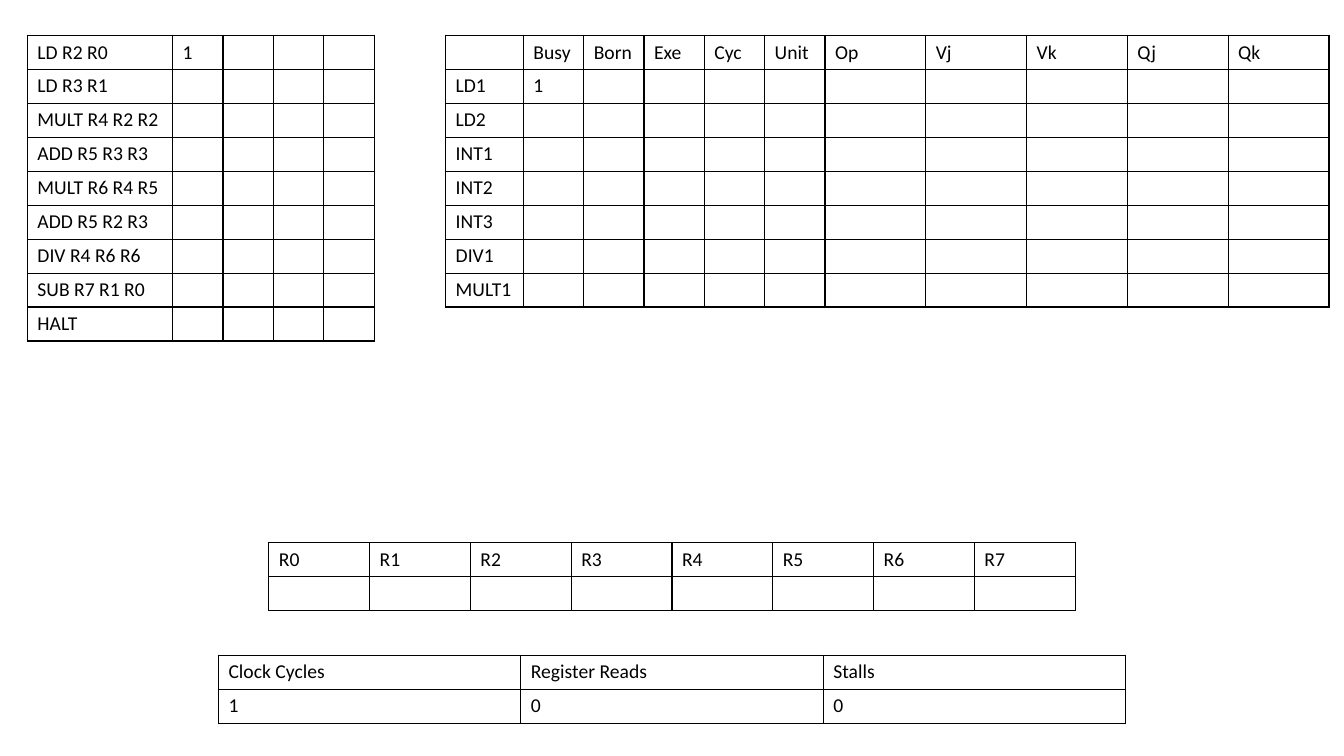
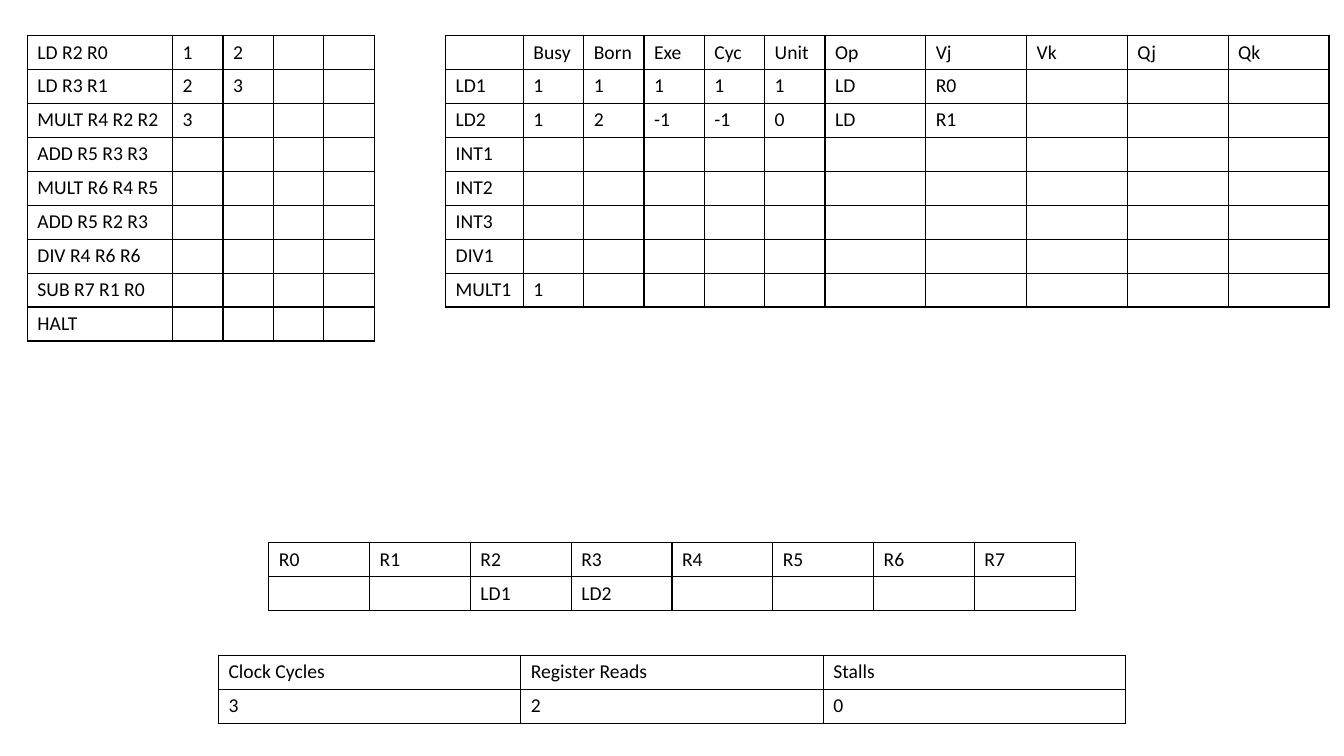
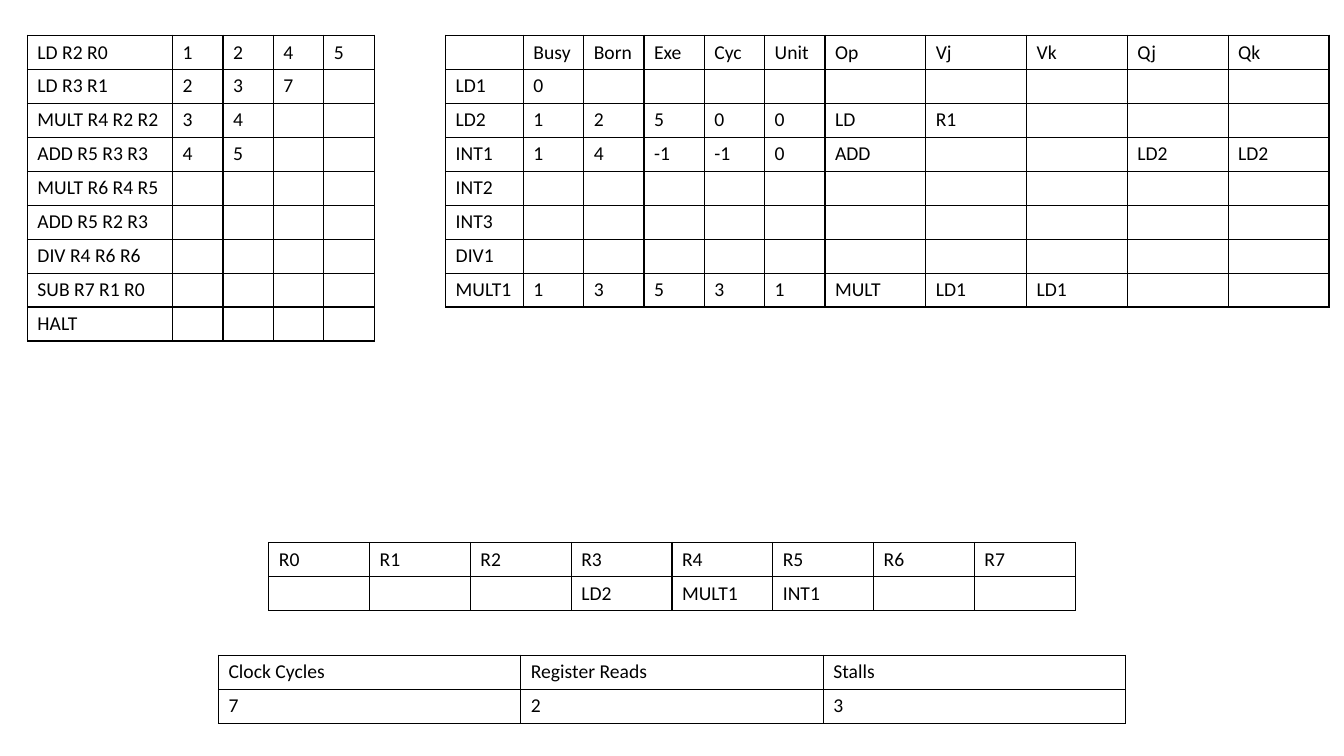
from lxml import etree
from pptx import Presentation
from pptx.dml.color import RGBColor
from pptx.oxml.ns import qn
from pptx.util import Cm, Pt

COLORS = {"ink": "000000"}
FONT = "Calibri"
TEXT_SIZE = Pt(14)
BORDER = Pt(1)
SLIDE_WIDTH, SLIDE_HEIGHT = 33.87, 19.05
ROW_HEIGHT, ROW_SPACE = 0.76, 0.85
TOP_ROW, REGISTERS_TOP, COUNTERS_TOP = 0.89, 13.67, 16.51

PROGRAM = ["LD R2 R0", "LD R3 R1", "MULT R4 R2 R2", "ADD R5 R3 R3", "MULT R6 R4 R5",
           "ADD R5 R2 R3", "DIV R4 R6 R6", "SUB R7 R1 R0", "HALT"]
STATION_FIELDS = ["Busy", "Born", "Exe", "Cyc", "Unit", "Op", "Vj", "Vk", "Qj", "Qk"]
STATIONS = ["LD1", "LD2", "INT1", "INT2", "INT3", "DIV1", "MULT1"]
REGISTERS = [f"R{number}" for number in range(8)]
COUNTERS = ["Clock Cycles", "Register Reads", "Stalls"]

PROGRAM_WIDTHS = [3.66] + [1.27] * 4
STATION_WIDTHS = [1.96] + [1.52] * 5 + [2.54] * 5
REGISTER_WIDTHS = [2.54] * len(REGISTERS)
COUNTER_WIDTHS = [7.62] * len(COUNTERS)

SNAPSHOTS = [
    {
        "stages": {"LD R2 R0": ["1"]},
        "stations": {"LD1": ["1"]},
        "registers": {},
        "counters": ["1", "0", "0"],
    },
    {
        "stages": {"LD R2 R0": ["1", "2"], "LD R3 R1": ["2", "3"], "MULT R4 R2 R2": ["3"]},
        "stations": {
            "LD1": ["1", "1", "1", "1", "1", "LD", "R0"],
            "LD2": ["1", "2", "-1", "-1", "0", "LD", "R1"],
            "MULT1": ["1"],
        },
        "registers": {"R2": "LD1", "R3": "LD2"},
        "counters": ["3", "2", "0"],
    },
    {
        "stages": {
            "LD R2 R0": ["1", "2", "4", "5"],
            "LD R3 R1": ["2", "3", "7"],
            "MULT R4 R2 R2": ["3", "4"],
            "ADD R5 R3 R3": ["4", "5"],
        },
        "stations": {
            "LD1": ["0"],
            "LD2": ["1", "2", "5", "0", "0", "LD", "R1"],
            "INT1": ["1", "4", "-1", "-1", "0", "ADD", "", "", "LD2", "LD2"],
            "MULT1": ["1", "3", "5", "3", "1", "MULT", "LD1", "LD1"],
        },
        "registers": {"R3": "LD2", "R4": "MULT1", "R5": "INT1"},
        "counters": ["7", "2", "3"],
    },
]


def add_borders(cell):
    """Draw a solid line on all four sides of a cell."""
    properties = cell._tc.get_or_add_tcPr()
    for side in ("a:lnL", "a:lnR", "a:lnT", "a:lnB"):
        line = etree.SubElement(properties, qn(side), w=str(int(BORDER)))
        fill = etree.SubElement(line, qn("a:solidFill"))
        etree.SubElement(fill, qn("a:srgbClr"), val=COLORS["ink"])


def fill_cell(cell, text):
    """Write and style one cell, keeping the text size when it is empty."""
    add_borders(cell)
    cell.fill.background()
    cell.text_frame.text = text
    paragraph = cell.text_frame.paragraphs[0]
    for run in paragraph.runs:
        run.font.name = FONT
        run.font.size = TEXT_SIZE
        run.font.color.rgb = RGBColor.from_string(COLORS["ink"])
    if not text:
        etree.SubElement(paragraph._p, qn("a:endParaRPr"), sz=str(int(TEXT_SIZE.pt * 100)))


def add_grid(slide, left, top, widths, rows):
    """Add a plain ruled table, padding short rows with empty cells."""
    height = Cm(ROW_SPACE * len(rows))
    frame = slide.shapes.add_table(len(rows), len(widths), Cm(left), Cm(top),
                                   Cm(sum(widths)), height)
    table = frame.table
    table.first_row = False
    table.horz_banding = False
    for column, width in zip(table.columns, widths):
        column.width = Cm(width)
    for row, texts in zip(table.rows, rows):
        row.height = Cm(ROW_HEIGHT)
        padding = [""] * (len(widths) - len(texts))
        for cell, text in zip(row.cells, texts + padding):
            fill_cell(cell, text)
    frame.height = height


def add_centred_grid(slide, top, widths, rows):
    """Add a ruled table centred across the slide."""
    add_grid(slide, (SLIDE_WIDTH - sum(widths)) / 2, top, widths, rows)


def labelled_rows(labels, values):
    """Put each label in front of the values known for it."""
    return [[label] + values.get(label, []) for label in labels]


def add_snapshot(slide, snapshot):
    """Lay out the four tables of one machine state."""
    add_grid(slide, 0.69, TOP_ROW, PROGRAM_WIDTHS, labelled_rows(PROGRAM, snapshot["stages"]))
    add_grid(slide, 11.23, TOP_ROW, STATION_WIDTHS,
             [[""] + STATION_FIELDS] + labelled_rows(STATIONS, snapshot["stations"]))
    producers = [snapshot["registers"].get(register, "") for register in REGISTERS]
    add_centred_grid(slide, REGISTERS_TOP, REGISTER_WIDTHS, [REGISTERS, producers])
    add_centred_grid(slide, COUNTERS_TOP, COUNTER_WIDTHS, [COUNTERS, snapshot["counters"]])


def main():
    """Build one slide for each machine state."""
    presentation = Presentation()
    presentation.slide_width = Cm(SLIDE_WIDTH)
    presentation.slide_height = Cm(SLIDE_HEIGHT)
    blank = presentation.slide_layouts[6]
    for snapshot in SNAPSHOTS:
        add_snapshot(presentation.slides.add_slide(blank), snapshot)
    presentation.save("out.pptx")


if __name__ == "__main__":
    main()
